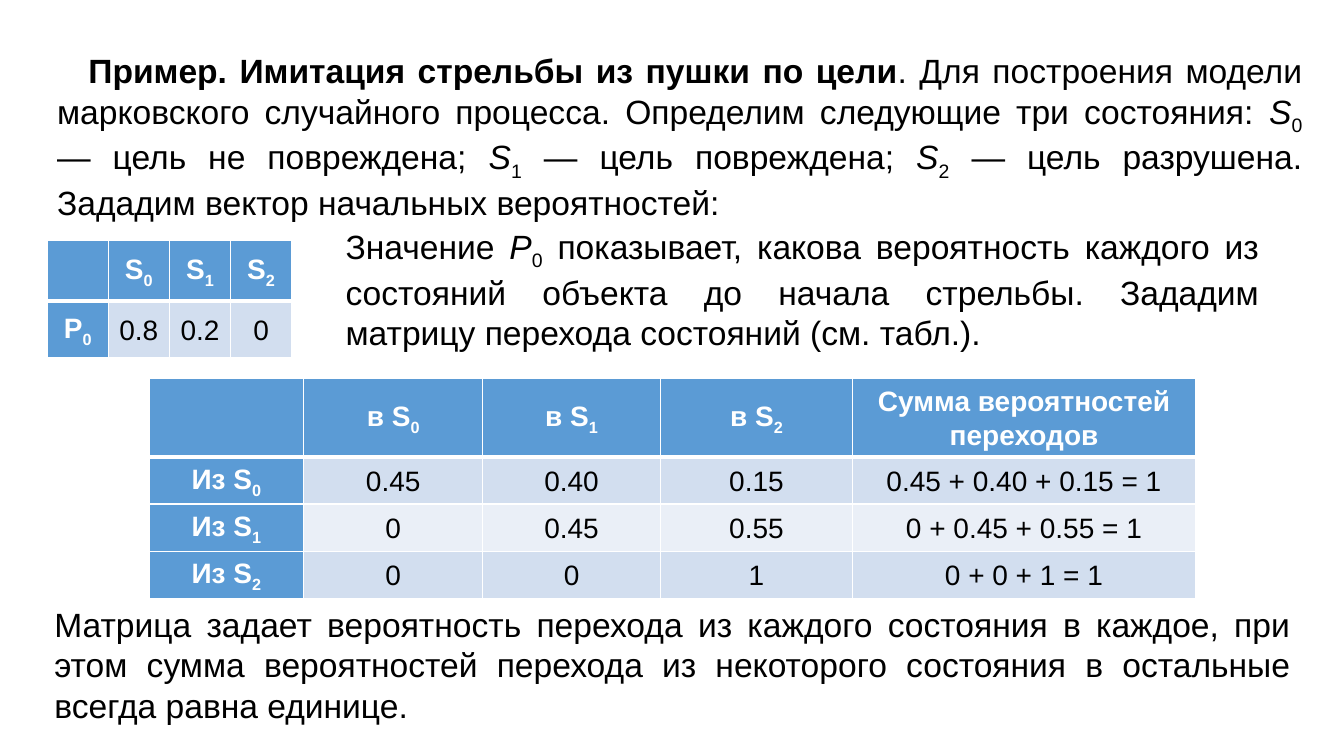
from lxml import etree
from pptx import Presentation
from pptx.dml.color import RGBColor
from pptx.enum import text
from pptx.oxml import ns
from pptx.util import Cm, Pt

BLUE, PALE, LIGHT, WHITE, BLACK = "5B9BD5", "D2DEEF", "EAEFF7", "FFFFFF", "000000"
BODY = {"size": Pt(24), "name": "Arial"}
CELL = {"size": Pt(20), "name": "Arial"}


def colour(value):
    """Turn a hex string into a colour."""
    return RGBColor.from_string(value)


def assign(target, values):
    """Set every attribute named in a dict of format values."""
    for name, value in values.items():
        setattr(target, name, value)


def add_spans(para, spans, font, ink):
    """Fill a paragraph with (words, style) spans."""
    for words, style in spans:
        if words == "\n":
            para.add_line_break()
            continue
        span = para.add_run()
        span.text = words
        assign(span.font, font)
        span.font.color.rgb = colour(ink)
        if style == "sub":
            span.font._element.set("baseline", "-25000")
        elif style:
            setattr(span.font, style, True)


def symbol(letter, index, style=None):
    """Give the spans of a letter with a subscript."""
    return [(letter, style), (str(index), "sub")]


def plain(words):
    """Give the spans of unstyled words."""
    return [(words, None)]


def add_text(page, place, spans, indent=0):
    """Add a justified text box."""
    box = page.shapes.add_textbox(*map(Cm, place))
    assign(box.text_frame, {"word_wrap": True, "auto_size": text.MSO_AUTO_SIZE.SHAPE_TO_FIT_TEXT})
    para = box.text_frame.paragraphs[0]
    para.alignment = text.PP_ALIGN.JUSTIFY
    para._p.get_or_add_pPr().set("indent", str(Cm(indent)))
    add_spans(para, spans, BODY, BLACK)


def add_borders(cell, bottom):
    """Draw white borders around a cell."""
    properties = cell._tc.get_or_add_tcPr()
    for side, width in {"lnL": 1, "lnR": 1, "lnT": 1, "lnB": bottom}.items():
        line = etree.SubElement(properties, ns.qn(f"a:{side}"), w=str(Pt(width)))
        fill = etree.SubElement(line, ns.qn("a:solidFill"))
        etree.SubElement(fill, ns.qn("a:srgbClr"), val=WHITE)


def fill_cell(cell, spans, fill, is_head, bottom):
    """Format one table cell and write its text."""
    add_borders(cell, bottom)
    cell.fill.solid()
    cell.fill.fore_color.rgb = colour(fill)
    margins = dict.fromkeys(["margin_left", "margin_right", "margin_top", "margin_bottom"], Cm(0.08))
    assign(cell, {**margins, "vertical_anchor": text.MSO_ANCHOR.MIDDLE})
    para = cell.text_frame.paragraphs[0]
    assign(para, {"alignment": text.PP_ALIGN.CENTER, "line_spacing": 1.07, "space_after": Pt(8)})
    add_spans(para, spans, {**CELL, "bold": is_head}, WHITE if is_head else BLACK)


def add_grid(page, left, top, widths, heights, rows):
    """Add a table with a blue header row and column."""
    frame = page.shapes.add_table(len(rows), len(widths), Cm(left), Cm(top), Cm(sum(widths)), Cm(sum(heights)))
    table = frame.table
    for column, width in zip(table.columns, widths):
        column.width = Cm(width)
    for r, (height, row) in enumerate(zip(heights, rows)):
        table.rows[r].height = Cm(height)
        for c, spans in enumerate(row):
            is_head = r == 0 or c == 0
            fill = BLUE if is_head else (PALE if r % 2 else LIGHT)
            fill_cell(table.cell(r, c), spans, fill, is_head, 1 if r else 3)


def main():
    """Build the slide and save it."""
    deck = Presentation()
    assign(deck, {"slide_width": Cm(33.87), "slide_height": Cm(19.05)})
    page = deck.slides.add_slide(deck.slide_layouts[6])

    add_text(page, (1.19, 1.14, 31.88, 5.38), [
        ("Пример. Имитация стрельбы из пушки по цели", "bold"),
        *plain(". Для построения модели марковского случайного процесса. Определим следующие три состояния: "),
        *symbol("S", 0, "italic"), *plain(" — цель не повреждена; "),
        *symbol("S", 1, "italic"), *plain(" — цель повреждена; "),
        *symbol("S", 2, "italic"),
        *plain(" — цель разрушена. Зададим вектор начальных вероятностей:"),
    ], indent=0.79)
    add_text(page, (8.46, 5.56, 23.52, 3.33), [
        *plain("Значение "), *symbol("P", 0, "italic"),
        *plain(" показывает, какова вероятность каждого из состояний объекта до начала стрельбы. "
               "Зададим матрицу перехода состояний (см. табл.)."),
    ])

    start = [
        [[], *(symbol("S", i) for i in range(3))],
        [symbol("P", 0), *map(plain, ["0.8", "0.2", "0"])],
    ]
    add_grid(page, 1.19, 6.07, [1.54] * 4, [1.52, 1.42], start)

    total = [("Сумма вероятностей", None), ("\n", None), ("переходов", None)]
    chances = [["0.45", "0.40", "0.15"], ["0", "0.45", "0.55"], ["0", "0", "1"]]
    moves = [[[], *(symbol("в S", i) for i in range(3)), total]]
    for i, values in enumerate(chances):
        moves.append([symbol("Из S", i), *map(plain, values), plain(" + ".join(values) + " = 1")])
    add_grid(page, 3.76, 9.53, [3.89, 4.52, 4.47, 4.85, 8.64], [1.98] + [1.19] * 3, moves)

    add_text(page, (1.12, 15.09, 31.65, 3.33), plain(
        "Матрица задает вероятность перехода из каждого состояния в каждое, при этом сумма "
        "вероятностей перехода из некоторого состояния в остальные всегда равна единице."))
    deck.save("out.pptx")


if __name__ == "__main__":
    main()
